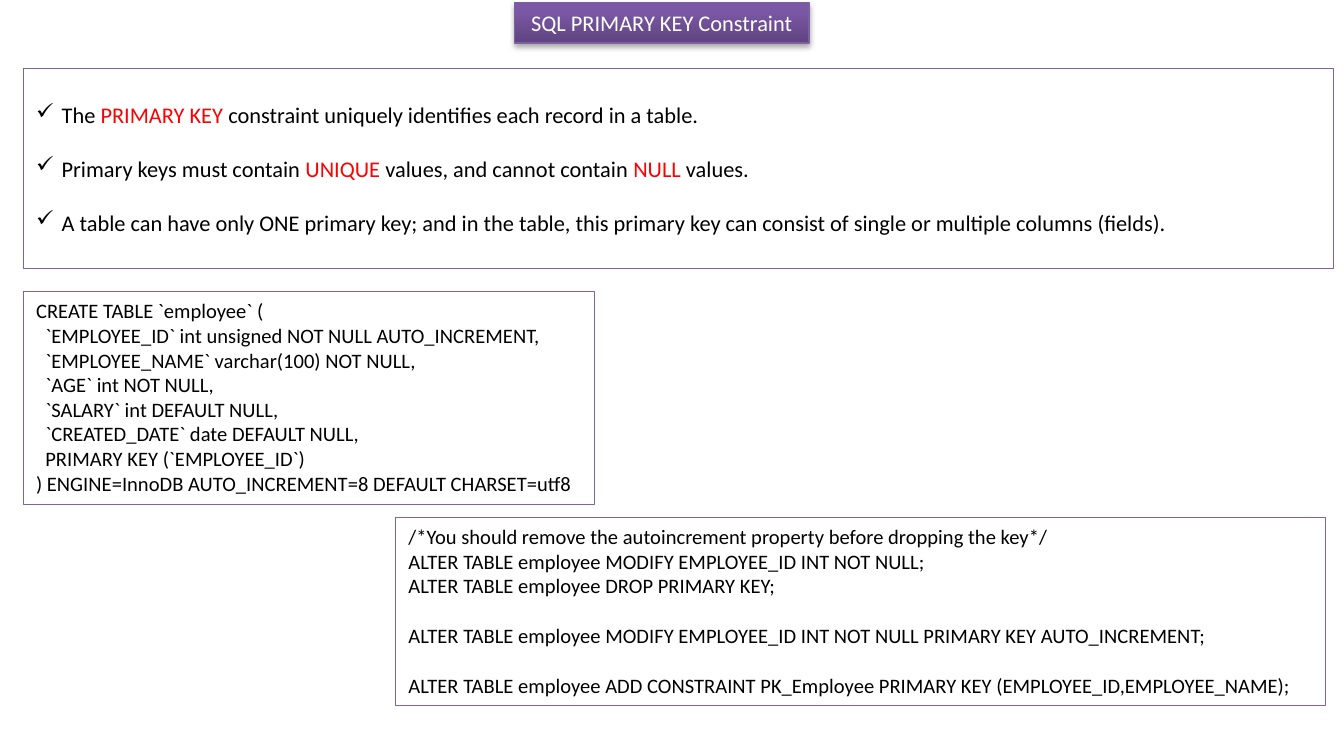
"""Build the SQL PRIMARY KEY constraint slide."""
import copy
from dataclasses import dataclass
from typing import Optional

import pptx
import pptx.dml.color
import pptx.enum.shapes
import pptx.enum.text
import pptx.oxml
import pptx.oxml.ns
import pptx.util
from pptx.util import Inches

RGB = pptx.dml.color.RGBColor.from_string
ALIGN = pptx.enum.text.PP_ALIGN
ANCHOR = pptx.enum.text.MSO_ANCHOR
AUTO = pptx.enum.text.MSO_AUTO_SIZE


@dataclass(frozen=True)
class Theme:
    """Colours, font and type sizes of the slide."""
    font: str = "Calibri"
    ink: str = "000000"
    paper: str = "FFFFFF"
    keyword: str = "FF0000"
    border: str = "8064A2"
    title_border: str = "7D60A0"
    gradient: tuple = ((0, "5F4480"), (0.8, "7B58A6"), (1, "7C57A8"))
    body: float = 12
    code: float = 11
    body_gap: float = 14.5
    code_gap: float = 13.4


@dataclass(frozen=True)
class Panel:
    """A bordered text box; lines hold runs, and odd runs are keywords."""
    at: tuple
    lines: tuple
    size: float
    gap: float
    gaps_before: tuple = ()
    bullet: Optional[str] = None
    anchor: ANCHOR = ANCHOR.TOP
    auto_size: AUTO = AUTO.SHAPE_TO_FIT_TEXT
    wrap: bool = True


T = Theme()

PANELS = (
    Panel(
        (0.17, 0.51, 9.75, 1.49),
        (
            ("The ", "PRIMARY KEY", " constraint uniquely identifies each record in a table."),
            ("Primary keys must contain ", "UNIQUE", " values, and cannot contain ", "NULL", " values."),
            ("A table can have only ONE primary key; and in the table, this primary key "
             "can consist of single or multiple columns (fields).",),
        ),
        T.body, T.body_gap, gaps_before=(1, 2), bullet="✓",
        anchor=ANCHOR.MIDDLE, auto_size=AUTO.NONE,
    ),
    Panel(
        (0.17, 2.17, 4.25, 1.58),
        (
            ("CREATE TABLE `employee` (",),
            ("  `EMPLOYEE_ID` int unsigned NOT NULL AUTO_INCREMENT,",),
            ("  `EMPLOYEE_NAME` varchar(100) NOT NULL,",),
            ("  `AGE` int NOT NULL,",),
            ("  `SALARY` int DEFAULT NULL,",),
            ("  `CREATED_DATE` date DEFAULT NULL,",),
            ("  PRIMARY KEY (`EMPLOYEE_ID`)",),
            (") ENGINE=InnoDB AUTO_INCREMENT=8 DEFAULT CHARSET=utf8",),
        ),
        T.code, T.code_gap, wrap=False,
    ),
    Panel(
        (2.94, 3.85, 6.92, 1.4),
        (
            ("/*You should remove the autoincrement property before dropping the key*/",),
            ("ALTER TABLE employee MODIFY EMPLOYEE_ID INT NOT NULL;",),
            ("ALTER TABLE employee DROP PRIMARY KEY;",),
            ("ALTER TABLE employee MODIFY EMPLOYEE_ID INT NOT NULL PRIMARY KEY AUTO_INCREMENT;",),
            ("ALTER TABLE employee ADD CONSTRAINT PK_Employee PRIMARY KEY (EMPLOYEE_ID,EMPLOYEE_NAME);",),
        ),
        T.code, T.code_gap, gaps_before=(3, 4),
    ),
)


def add_text(p, text: str, *, size: float, color: str = T.ink) -> None:
    """Append a formatted run to a paragraph."""
    r = p.add_run()
    r.text = text
    r.font.name = T.font
    r.font.size = pptx.util.Pt(size)
    r.font.color.rgb = RGB(color)


def add_bullet(p, char: str) -> None:
    """Give a paragraph a hanging bullet."""
    pPr = p._p.get_or_add_pPr()
    pPr.set("marL", str(Inches(0.19)))
    pPr.set("indent", str(Inches(-0.19)))
    bu = pptx.oxml.parse_xml(f'<a:buChar {pptx.oxml.ns.nsdecls("a")} char="{char}"/>')
    pPr.append(bu)


def set_line(sp, color: str, width: float) -> None:
    """Set the outline of a shape."""
    sp.line.color.rgb = RGB(color)
    sp.line.width = pptx.util.Pt(width)


def set_frame(tf, *, wrap: bool, anchor: ANCHOR, auto_size: AUTO) -> None:
    """Set how text sits in its shape."""
    tf.word_wrap = wrap
    tf.vertical_anchor = anchor
    tf.auto_size = auto_size


def draw_title(s, text: str) -> None:
    """Format the title placeholder as a raised gradient label."""
    sp = s.shapes.title
    sp.left, sp.top, sp.width, sp.height = map(Inches, (3.83, 0.02, 2.19, 0.3))
    sp.fill.gradient()
    sp.fill.gradient_angle = 90
    stops = sp._element.spPr.find(".//" + pptx.oxml.ns.qn("a:gsLst"))
    stops.insert(1, copy.deepcopy(stops[0]))
    for stop, (position, color) in zip(sp.fill.gradient_stops, T.gradient):
        stop.position = position
        stop.color.rgb = RGB(color)
    set_line(sp, T.title_border, 0.75)
    sp._element.spPr.append(pptx.oxml.parse_xml(
        f'<a:effectLst {pptx.oxml.ns.nsdecls("a")}>'
        f'<a:outerShdw blurRad="{pptx.util.Pt(3.1)}" dist="{pptx.util.Pt(1.8)}" '
        'dir="5400000" rotWithShape="0"><a:srgbClr val="000000">'
        '<a:alpha val="35000"/></a:srgbClr></a:outerShdw></a:effectLst>'))
    tf = sp.text_frame
    set_frame(tf, wrap=True, anchor=ANCHOR.MIDDLE, auto_size=AUTO.NONE)
    p = tf.paragraphs[0]
    p.alignment = ALIGN.CENTER
    add_text(p, text, size=T.body, color=T.paper)


def draw_panel(s, panel: Panel) -> None:
    """Draw a bordered panel with its lines of text."""
    sp = s.shapes.add_shape(pptx.enum.shapes.MSO_SHAPE.RECTANGLE, *map(Inches, panel.at))
    sp.shadow.inherit = False
    sp.fill.solid()
    sp.fill.fore_color.rgb = RGB(T.paper)
    set_line(sp, T.border, 0.25)
    tf = sp.text_frame
    set_frame(tf, wrap=panel.wrap, anchor=panel.anchor, auto_size=panel.auto_size)
    for i, line in enumerate(panel.lines):
        p = tf.add_paragraph() if i else tf.paragraphs[0]
        p.alignment = ALIGN.LEFT
        if i in panel.gaps_before:
            p.space_before = pptx.util.Pt(panel.gap)
        if panel.bullet:
            add_bullet(p, panel.bullet)
        for j, text in enumerate(line):
            add_text(p, text, size=panel.size, color=T.keyword if j % 2 else T.ink)


def main() -> None:
    """Create and save the presentation."""
    prs = pptx.Presentation()
    prs.slide_width, prs.slide_height = Inches(10), Inches(5.5)
    s = prs.slides.add_slide(prs.slide_layouts[5])
    draw_title(s, "SQL PRIMARY KEY Constraint")
    for panel in PANELS:
        draw_panel(s, panel)
    prs.save("out.pptx")


if __name__ == "__main__":
    main()
